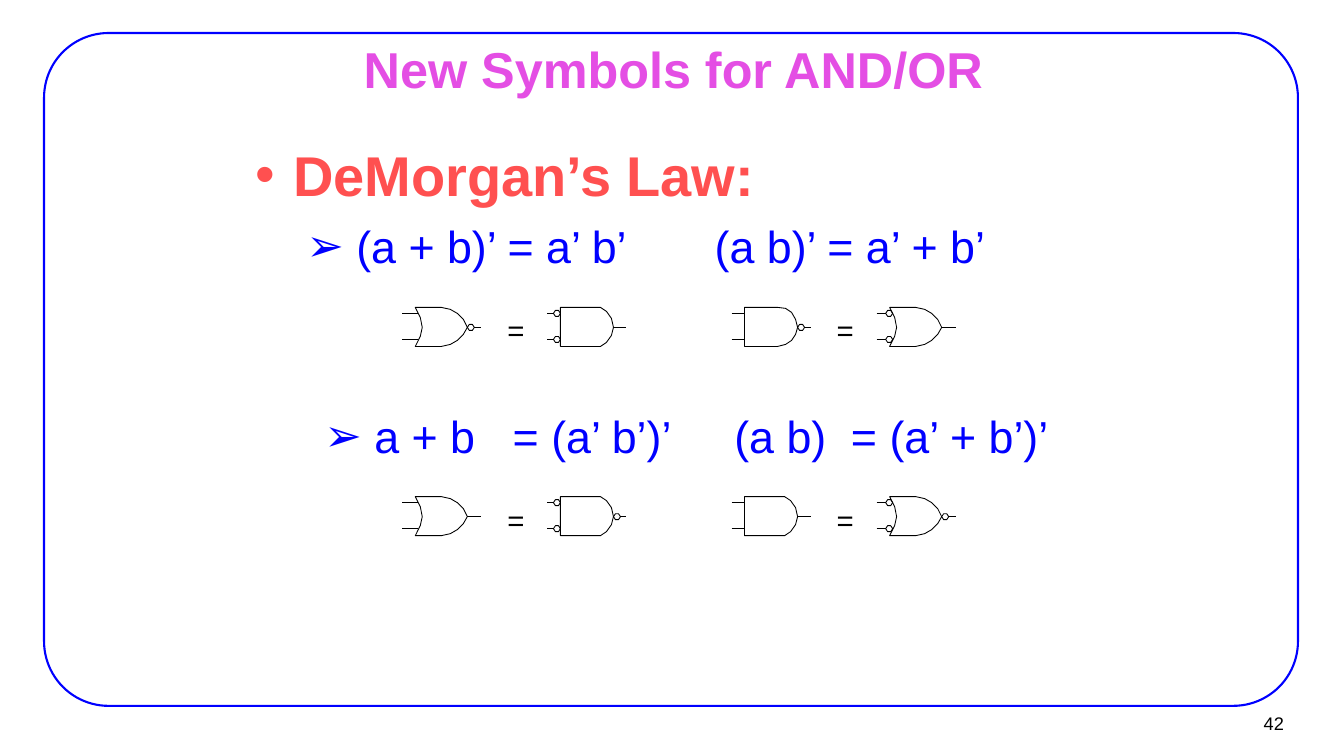
from pptx import Presentation
from pptx.dml.color import RGBColor
from pptx.enum.shapes import MSO_CONNECTOR as CONN, MSO_SHAPE as SHAPE
from pptx.enum.text import MSO_ANCHOR as ANCHOR, PP_ALIGN as ALIGN
from pptx.oxml.ns import qn
from pptx.util import Pt
from lxml import etree

# Content: each law is a list of (text, extra px of gap after it)
TITLE = "New Symbols for AND/OR"
HEADING = "DeMorgan’s Law:"
PAGE = "42"
LAW_NEGATED = [("(a + b)’ = a’ b’", 75), ("(a b)’ = a’ + b’", 0)]
LAW_PLAIN = [("a + b", 25), ("= (a’ b’)’", 50), ("(a b)", 12), ("= (a’ + b’)’", 0)]

# Gates per row: (outline, inverted inputs, inverted output)
GATE_ROWS = [
    (307, [("or", False, True), ("and", True, False),
           ("round and", False, True), ("or", True, False)]),
    (496, [("or", False, False), ("and", True, True),
           ("and", False, False), ("or", True, True)]),
]
PAIR_X, PAIR_STEP, EQUALS_STEP = (402, 731), 145, 105

# Outlines in px from the gate's top left corner
OUTLINES = {
    "or": [(13, 39), (18, 29), (20, 20), (18, 10), (13, 0), (39, 0), (48, 2), (55, 6),
           (61, 12), (65, 20), (61, 27), (55, 33), (48, 37), (39, 39)],
    "and": [(13, 39), (13, 0), (53, 0), (59, 4), (64, 11), (66, 20), (64, 28),
            (59, 35), (53, 39)],
    "round and": [(13, 39), (13, 0), (46, 0), (54, 1), (60, 5), (64, 12), (66, 20),
                  (64, 27), (60, 33), (54, 37), (46, 39)],
}
BUBBLE = [(0, 0), (2, -3), (5, -3), (7, 0), (5, 3), (2, 3)]
BUBBLE_W, GATE_W, INPUT_YS, OUTPUT_Y = 7, 79, (6, 32), 20

# Formats
BLUE, RED, PINK, BLACK = "0000FF", "FF5050", "E44EE4", "000000"
TITLE_FONT = {"size": Pt(36), "bold": True}
HEADING_FONT = {"size": Pt(40), "bold": True}
LAW_FONT = {"size": Pt(32), "bold": False}
EQUALS_FONT = {"size": Pt(21)}
PAGE_FONT = {"size": Pt(13)}
GATE_LINE = 0.62
PX_PER_INCH = 100.7


def px(n):
    return round(n * 914400 / PX_PER_INCH)


def rgb(color):
    return RGBColor.from_string(color)


prs = Presentation()
prs.slide_width, prs.slide_height = px(1343), px(755)
s = prs.slides.add_slide(prs.slide_layouts[6])


def set_line(sp, color, width):
    sp.line.color.rgb = rgb(color)
    sp.line.width = Pt(width)


def text_box(x, y, w, h, inset=(0, 0), anchor=ANCHOR.TOP, wrap=True):
    tf = s.shapes.add_textbox(px(x), px(y), px(w), px(h)).text_frame
    side, end = map(px, inset)
    for name, value in {"margin_left": side, "margin_right": side, "margin_top": end,
                        "margin_bottom": end, "vertical_anchor": anchor,
                        "word_wrap": wrap}.items():
        setattr(tf, name, value)
    return tf


def add_run(p, text, color, fmt):
    r = p.add_run()
    r.text = text
    r.font.name = "Arial"
    r.font.color.rgb = rgb(color)
    for name, value in fmt.items():
        setattr(r.font, name, value)
    return r


def add_bullet(p, char, color, indent, hanging):
    pPr = p._p.get_or_add_pPr()
    pPr.set("marL", str(px(indent)))
    pPr.set("indent", str(-px(hanging)))
    clr = etree.SubElement(pPr, qn("a:buClr"))
    etree.SubElement(clr, qn("a:srgbClr")).set("val", color)
    etree.SubElement(pPr, qn("a:buFont")).set("typeface", "Arial")
    etree.SubElement(pPr, qn("a:buChar")).set("char", char)


def add_law(p, law):
    add_bullet(p, "➢", BLUE, 101, 50)
    for text, gap in law:
        add_run(p, text, BLUE, LAW_FONT)
        if gap:  # one space widened by letter spacing
            space = add_run(p, " ", BLUE, LAW_FONT)
            space.font._element.set("spc", str(round(gap * 7200 / PX_PER_INCH)))


def add_wire(x1, x2, y):
    c = s.shapes.add_connector(CONN.STRAIGHT, px(x1), px(y), px(x2), px(y))
    set_line(c, BLACK, GATE_LINE)
    etree.SubElement(c._element.spPr, qn("a:effectLst"))


def add_outline(points, x, y):
    pts = [(px(x + dx), px(y + dy)) for dx, dy in points]
    fb = s.shapes.build_freeform(*pts[0])
    fb.add_line_segments(pts[1:], close=True)
    sp = fb.convert_to_shape()
    sp.shadow.inherit = False
    sp.fill.background()
    set_line(sp, BLACK, GATE_LINE)


def add_gate(kind, inverted_in, inverted_out, x, y):
    add_outline(OUTLINES[kind], x, y)
    in_end = x + (16 if kind == "or" else 13)
    out_start = x + max(dx for dx, _ in OUTLINES[kind])
    if inverted_in:
        in_end -= BUBBLE_W
    for dy in INPUT_YS:
        add_wire(x, in_end, y + dy)
        if inverted_in:
            add_outline(BUBBLE, in_end, y + dy)
    if inverted_out:
        add_outline(BUBBLE, out_start, y + OUTPUT_Y)
        out_start += BUBBLE_W
    add_wire(out_start, x + GATE_W, y + OUTPUT_Y)


# Frame
frame = s.shapes.add_shape(SHAPE.ROUNDED_RECTANGLE, px(44), px(33), px(1253), px(672))
frame.adjustments[0] = 0.096
frame.shadow.inherit = False
frame.fill.background()
set_line(frame, BLUE, 1.5)

# Page number and title
p = text_box(1210, 704, 82, 37, (9, 4), ANCHOR.MIDDLE, False).paragraphs[0]
p.alignment = ALIGN.RIGHT
add_run(p, PAGE, BLACK, PAGE_FONT)
p = text_box(102, 44, 1142, 49, (11, 6), ANCHOR.MIDDLE).paragraphs[0]
p.alignment = ALIGN.CENTER
add_run(p, TITLE, PINK, TITLE_FONT)

# Heading and laws
tf = text_box(244, 134, 856, 259, (11, 6))
p = tf.paragraphs[0]
add_bullet(p, "•", RED, 38, 38)
add_run(p, HEADING, RED, HEADING_FONT)
p = tf.add_paragraph()
p.space_before = Pt(8)
add_law(p, LAW_NEGATED)
add_law(text_box(262, 402, 856, 259, (11, 6)).paragraphs[0], LAW_PLAIN)

# Gate pairs
for y, gates in GATE_ROWS:
    for i, gate in enumerate(gates):
        pair, side = divmod(i, 2)
        add_gate(*gate, PAIR_X[pair] + side * PAIR_STEP, y)
    for x in PAIR_X:
        tf = text_box(x + EQUALS_STEP, y + 5, 17, 35, wrap=False)
        add_run(tf.paragraphs[0], "=", BLACK, EQUALS_FONT)

prs.save("out.pptx")
